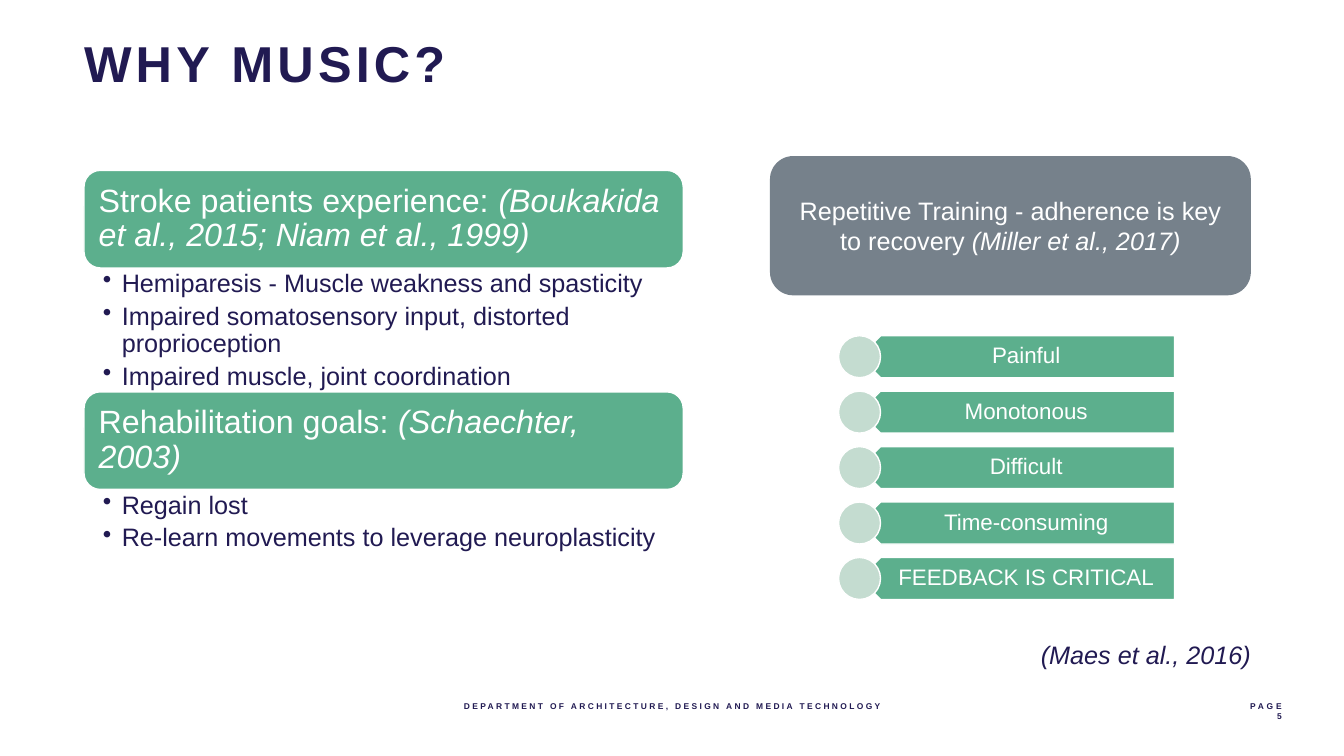
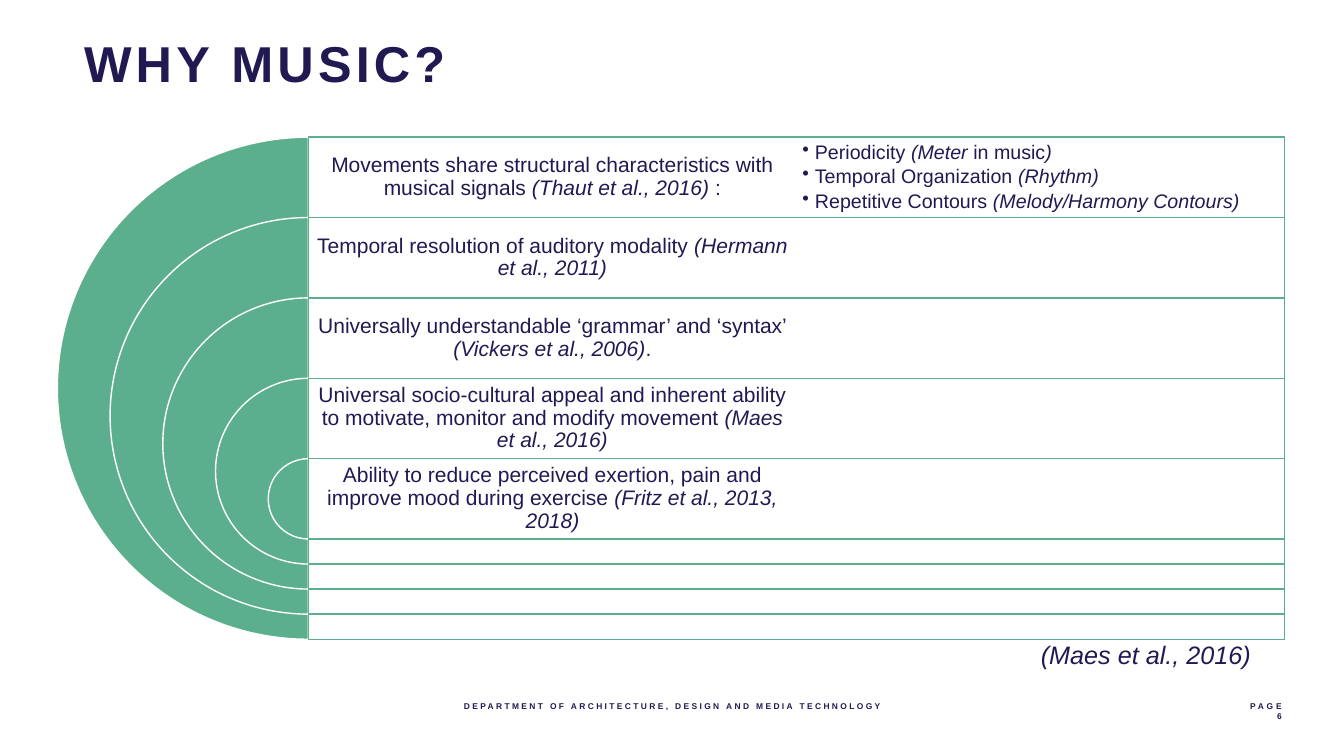
from pptx import Presentation
from pptx.dml.color import RGBColor
from pptx.enum import shapes, text
from pptx.oxml import ns, xmlchemy
from pptx.util import Pt

NAVY = RGBColor(0x21, 0x1A, 0x52)
GREEN = RGBColor(0x5C, 0xAF, 0x8D)
PALE_GREEN = RGBColor(0xC4, 0xDC, 0xD0)
SLATE = RGBColor(0x76, 0x81, 0x8B)
WHITE = RGBColor(0xFF, 0xFF, 0xFF)
FONT = "Arial"
SHAPE = shapes.MSO_SHAPE
LEFT, CENTER, RIGHT = text.PP_ALIGN.LEFT, text.PP_ALIGN.CENTER, text.PP_ALIGN.RIGHT
TOP, MIDDLE = text.MSO_ANCHOR.TOP, text.MSO_ANCHOR.MIDDLE
WIDTH, HEIGHT = 960, 540
FOOTER = "DEPARTMENT OF ARCHITECTURE, DESIGN AND MEDIA TECHNOLOGY"
CITATION = ("", "(Maes et al., 2016)")

EXPERIENCE = [
    ("Hemiparesis - Muscle weakness and spasticity",),
    ("Impaired somatosensory input, distorted proprioception",),
    ("Impaired muscle, joint coordination",),
]
GOALS = [
    ("Regain lost",),
    ("Re-learn movements to leverage neuroplasticity",),
]
SECTIONS = [
    (("Stroke patients experience: ", "(Boukakida et al., 2015; Niam et al., 1999)"), EXPERIENCE, 88.5),
    (("Rehabilitation goals: ", "(Schaechter, 2003)"), GOALS, 47),
]
TRAINING = ("Repetitive Training - adherence is key to recovery ", "(Miller et al., 2017)")
CHALLENGES = ["Painful", "Monotonous", "Difficult", "Time-consuming", "FEEDBACK IS CRITICAL"]
REASONS = [
    ("Movements share structural characteristics with musical signals ", "(Thaut et al., 2016) ", ":"),
    ("Temporal resolution of auditory modality ", "(Hermann et al., 2011)"),
    ("Universally understandable ‘grammar’ and ‘syntax’ ", "(Vickers et al., 2006)", "."),
    ("Universal socio-cultural appeal and inherent ability to motivate, monitor and modify movement ",
     "(Maes et al., 2016)"),
    ("Ability to reduce perceived exertion, pain and improve mood during exercise ",
     "(Fritz et al., 2013, 2018)"),
]
STRUCTURES = [
    ("Periodicity ", "(Meter ", "in music", ")"),
    ("Temporal Organization ", "(Rhythm)"),
    ("Repetitive Contours ", "(Melody/Harmony Contours)"),
]


def add_bullet(p, indent):
    pPr = p._p.get_or_add_pPr()
    pPr.set("marL", str(Pt(indent)))
    pPr.set("indent", str(-Pt(indent)))
    bullet = xmlchemy.OxmlElement("a:buChar")
    bullet.set("char", "•")
    pPr.append(bullet)


def write(sp, paragraphs, size, color=NAVY, align=LEFT, anchor=TOP, insets=(0, 0, 0, 0),
          line=None, after=0, indent=0, bold=False, tracking=0, wrap=True):
    tf = sp.text_frame
    tf.word_wrap = wrap
    tf.auto_size = text.MSO_AUTO_SIZE.NONE
    tf.vertical_anchor = anchor
    tf.margin_left, tf.margin_top, tf.margin_right, tf.margin_bottom = map(Pt, insets)
    for n, pieces in enumerate(paragraphs):
        p = tf.add_paragraph() if n else tf.paragraphs[0]
        if indent:
            add_bullet(p, indent)
        p.alignment = align
        p.space_after = Pt(after)
        if line:
            p.line_spacing = line
        for k, piece in enumerate(pieces):
            if not piece:
                continue
            r = p.add_run()
            r.text = piece
            r.font.name = FONT
            r.font.size = Pt(size)
            r.font.bold = bold
            r.font.italic = k % 2 == 1
            r.font.color.rgb = color
            if tracking:
                r._r.get_or_add_rPr().set("spc", str(int(tracking * 100)))


def add_text(s, box, paragraphs, size, **style):
    sp = s.shapes.add_textbox(*map(Pt, box))
    write(sp, paragraphs, size, **style)


def add_shape(s, kind, box, fill, line=None):
    sp = s.shapes.add_shape(kind, *map(Pt, box))
    sp.shadow.inherit = False
    sp.fill.solid()
    sp.fill.fore_color.rgb = fill
    if line is None:
        sp.line.fill.background()
    else:
        sp.line.color.rgb = line
        sp.line.width = Pt(1)
    return sp


def set_opacity(sp, percent):
    color = sp._element.spPr.find(ns.qn("a:solidFill")).find(ns.qn("a:srgbClr"))
    alpha = xmlchemy.OxmlElement("a:alpha")
    alpha.set("val", str(percent * 1000))
    color.append(alpha)


def add_base(prs, page):
    s = prs.slides.add_slide(prs.slide_layouts[5])
    title = s.shapes.title
    title.left, title.top, title.width, title.height = map(Pt, (60, 23, 857, 59))
    write(title, [("WHY MUSIC?",)], 36, bold=True, tracking=3, insets=(0, 0, 7.2, 3.6))
    add_text(s, (0, 501, WIDTH, 22), [(FOOTER,)], 6, align=CENTER, bold=True, tracking=1.7)
    add_text(s, (803.5, 501, 112, 22), [("PAGE",), (str(page),)], 6,
             align=RIGHT, bold=True, tracking=2)
    add_text(s, (743, 456.5, 151, 72), [CITATION], 18, align=CENTER, wrap=False)
    return s


def add_sections(s, left, top, width):
    header = 69.7
    for heading, items, body in SECTIONS:
        sp = add_shape(s, SHAPE.ROUNDED_RECTANGLE, (left, top, width, header), GREEN, WHITE)
        write(sp, [heading], 23, color=WHITE, anchor=MIDDLE, insets=(7.2,) * 4, line=0.9)
        add_text(s, (left, top + header, width, body), items, 18,
                 insets=(13.5, 2, 13, 2), line=0.9, after=4, indent=13.5)
        top += header + body


def add_training_box(s, box):
    sp = add_shape(s, SHAPE.ROUNDED_RECTANGLE, box, SLATE)
    write(sp, [TRAINING], 18, color=WHITE, align=CENTER, anchor=MIDDLE,
          insets=(7.2, 3.6, 7.2, 3.6))


def add_challenges(s, left, top, width):
    row, pitch = 30, 39.6
    for n, label in enumerate(CHALLENGES):
        y = top + n * pitch
        plate = add_shape(s, SHAPE.PENTAGON, (left + row / 2, y, width - row / 2, row), GREEN, WHITE)
        plate.rotation = 180
        add_text(s, (left + 23, y, width - 23, row), [(label,)], 16, color=WHITE,
                 align=CENTER, anchor=MIDDLE, insets=(13.5, 5, 8.5, 5), line=0.9)
        add_shape(s, SHAPE.OVAL, (left, y, row, row), PALE_GREEN, WHITE)


def add_target(s, left, top, width, diameter):
    row = 57.4
    step = (diameter - row) / (len(REASONS) - 1)
    center = left + diameter / 2
    panel = width - diameter / 2
    cell = dict(anchor=MIDDLE, insets=(4.2,) * 4, line=0.9)
    for n, reason in enumerate(REASONS):
        size = diameter - n * step
        y = top + n * row
        pie = add_shape(s, SHAPE.PIE, (center - size / 2, y, size, size), GREEN, WHITE)
        pie.adjustments[0] = 54
        pie.adjustments[1] = 162
        band = add_shape(s, SHAPE.RECTANGLE, (center, y, panel, size), WHITE, GREEN)
        set_opacity(band, 90)
        add_text(s, (center, y, panel / 2, row), [reason], 15, align=CENTER, **cell)
    add_text(s, (center + panel / 2, top, panel / 2, row), STRUCTURES, 14,
             after=2.5, indent=9, **cell)


def build_patients_slide(prs):
    s = add_base(prs, 5)
    add_sections(s, 60, 121.7, 428)
    add_training_box(s, (550, 111.5, 343.5, 99.5))
    add_challenges(s, 599, 239.8, 240)


def build_reasons_slide(prs):
    s = add_base(prs, 6)
    add_target(s, 41, 98, 876.5, 358.6)


def main():
    prs = Presentation()
    prs.slide_width, prs.slide_height = Pt(WIDTH), Pt(HEIGHT)
    build_patients_slide(prs)
    build_reasons_slide(prs)
    prs.save("out.pptx")


if __name__ == "__main__":
    main()
